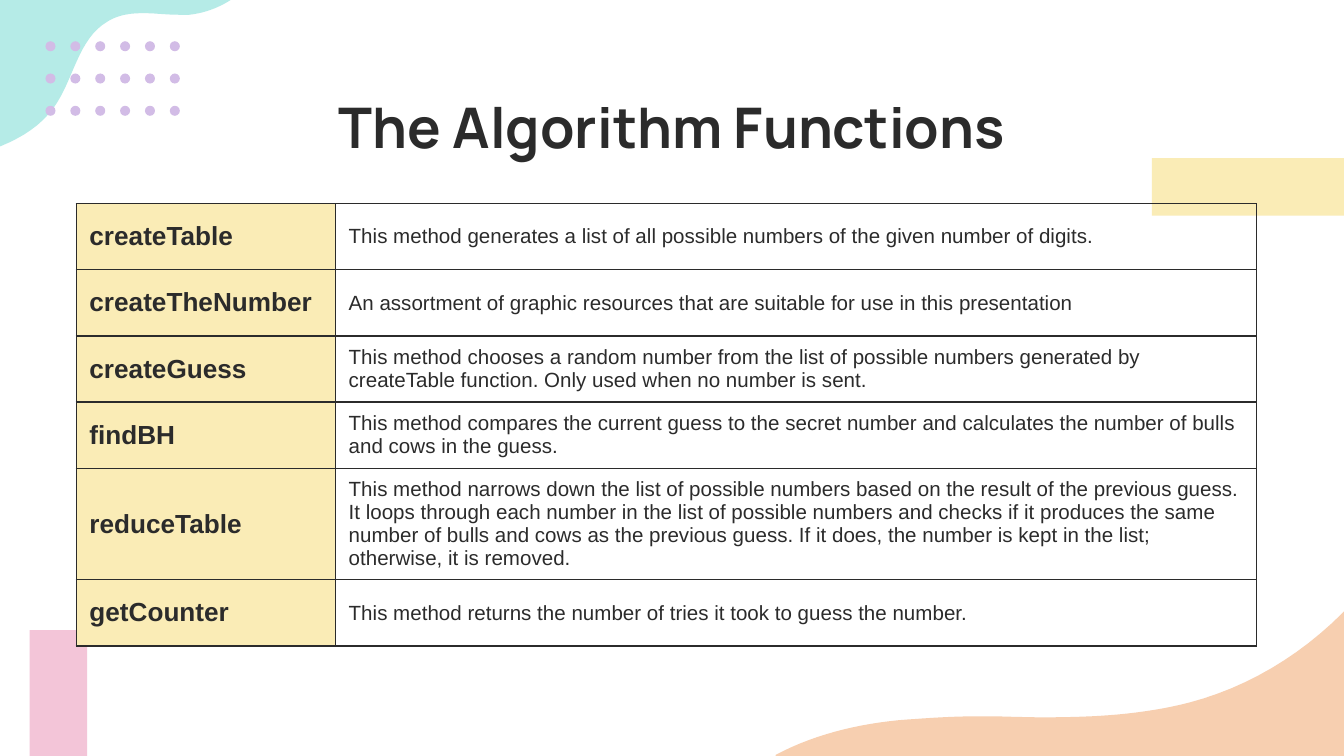
from dataclasses import dataclass

import pptx
import pptx.dml.color
import pptx.enum.shapes
import pptx.enum.text
import pptx.oxml
import pptx.oxml.ns
import pptx.util

Cm = pptx.util.Cm
Pt = pptx.util.Pt
RGBColor = pptx.dml.color.RGBColor
Anchor = pptx.enum.text.MSO_ANCHOR
Alignment = pptx.enum.text.PP_ALIGN
ShapeType = pptx.enum.shapes.MSO_SHAPE

INK = RGBColor(0x2B, 0x2B, 0x2B)
TEAL = RGBColor(0xB5, 0xEB, 0xE7)
PEACH = RGBColor(0xF7, 0xCF, 0xB0)
PINK = RGBColor(0xF3, 0xC5, 0xD8)
YELLOW = RGBColor(0xFA, 0xEC, 0xB6)
LILAC = RGBColor(0xD2, 0xBC, 0xE6)

Point = tuple[float, float]
CURVE_STEPS = 16


@dataclass
class Blob:
    """Straight corners, then Bezier curves (two controls and an end), in cm."""
    color: RGBColor
    corners: list[Point]
    curves: list[tuple[Point, Point, Point]]


@dataclass
class Bar:
    color: RGBColor
    left: float
    top: float
    width: float
    height: float


@dataclass
class Method:
    name: str
    description: str
    height: float = 1.25


BLOBS = [
    Blob(TEAL, [(-3.58, 4.39), (-3.58, -1.96), (4.75, -1.96), (4.75, -0.33)], [
        ((4.45, 0), (4.04, 0.23), (3.58, 0.28)),
        ((3.51, 0.28), (3.43, 0.28), (3.38, 0.28)),
        ((3.15, 0.28), (2.92, 0.25), (2.72, 0.25)),
        ((2.46, 0.25), (2.24, 0.28), (2.03, 0.41)),
        ((1.47, 0.74), (1.4, 1.5), (1.02, 2.03)),
        ((0.53, 2.72), (-0.38, 2.9), (-1.19, 3.15)),
        ((-2.06, 3.43), (-2.87, 3.84), (-3.58, 4.39)),
    ]),
    Blob(PEACH, [(26.09, 10.74), (26.09, 18.9), (14.66, 18.9), (14.66, 14.27)], [
        ((15.47, 13.84), (16.41, 13.64), (17.32, 13.59)),
        ((17.73, 13.56), (18.14, 13.54), (18.57, 13.54)),
        ((18.95, 13.54), (19.33, 13.56), (19.74, 13.56)),
        ((20.68, 13.56), (21.59, 13.51), (22.48, 13.28)),
        ((23.93, 12.9), (25.22, 11.96), (26.09, 10.74)),
    ]),
]

BARS = [
    Bar(PINK, 0.56, 11.91, 1.09, 2.41),
    Bar(YELLOW, 21.77, 2.99, 3.63, 1.09),
]

METHODS = [
    Method("createTable", "This method generates a list of all possible numbers of the "
           "given number of digits."),
    Method("createTheNumber", "An assortment of graphic resources that are suitable for use "
           "in this presentation"),
    Method("createGuess", "This method chooses a random number from the list of possible "
           "numbers generated by createTable function. Only used when no number is sent."),
    Method("findBH", "This method compares the current guess to the secret number and "
           "calculates the number of bulls and cows in the guess."),
    Method("reduceTable", "This method narrows down the list of possible numbers based on the "
           "result of the previous guess. It loops through each number in the list of possible "
           "numbers and checks if it produces the same number of bulls and cows as the previous "
           "guess. If it does, the number is kept in the list; otherwise, it is removed.", 2.11),
    Method("getCounter", "This method returns the number of tries it took to guess the number."),
]


def write_text(text_frame, text: str, *, size: float, font: str = "Arial",
               bold: bool = False, alignment=Alignment.LEFT) -> None:
    paragraph = text_frame.paragraphs[0]
    paragraph.alignment = alignment
    run = paragraph.add_run()
    run.text = text
    run.font.name = font
    run.font.size = Pt(size)
    run.font.bold = bold
    run.font.color.rgb = INK


def paint(shape, color: RGBColor) -> None:
    shape.shadow.inherit = False
    shape.fill.solid()
    shape.fill.fore_color.rgb = color
    shape.line.fill.background()


def bezier(start: Point, first: Point, second: Point, end: Point) -> list[Point]:
    points = []
    for step in range(1, CURVE_STEPS + 1):
        t = step / CURVE_STEPS
        weights = ((1 - t) ** 3, 3 * t * (1 - t) ** 2, 3 * t * t * (1 - t), t ** 3)
        controls = (start, first, second, end)
        points.append(tuple(sum(w * p[axis] for w, p in zip(weights, controls))
                            for axis in (0, 1)))
    return points


def draw_blob(shapes, blob: Blob) -> None:
    outline = list(blob.corners)
    for curve in blob.curves:
        outline += bezier(outline[-1], *curve)
    points = [(Cm(x), Cm(y)) for x, y in outline]
    builder = shapes.build_freeform(*points[0])
    builder.add_line_segments(points[1:], close=True)
    paint(builder.convert_to_shape(), blob.color)


def draw_bar(shapes, bar: Bar) -> None:
    shape = shapes.add_shape(ShapeType.RECTANGLE, Cm(bar.left), Cm(bar.top),
                             Cm(bar.width), Cm(bar.height))
    paint(shape, bar.color)


def draw_dots(shapes, columns: int = 6, rows: int = 3) -> None:
    group = shapes.add_group_shape()
    for row in range(rows):
        for column in range(columns):
            dot = group.shapes.add_shape(ShapeType.OVAL, Cm(0.86 + 0.47 * column),
                                         Cm(0.78 + 0.61 * row), Cm(0.19), Cm(0.19))
            paint(dot, LILAC)


def add_borders(cell) -> None:
    properties = cell._tc.get_or_add_tcPr()
    for index, side in enumerate(("lnL", "lnR", "lnT", "lnB")):
        properties.insert(index, pptx.oxml.parse_xml(
            f'<a:{side} {pptx.oxml.ns.nsdecls("a")} w="{Pt(0.75)}">'
            f'<a:solidFill><a:srgbClr val="{INK}"/></a:solidFill></a:{side}>'))


def draw_table(shapes, methods: list[Method]) -> None:
    widths = (4.9, 17.4)
    height = sum(method.height for method in methods)
    table = shapes.add_table(len(methods), len(widths), Cm(1.44), Cm(3.85),
                             Cm(sum(widths)), Cm(height)).table
    table.first_row = False
    table.horz_banding = False
    for column, width in zip(table.columns, widths):
        column.width = Cm(width)
    for row, method in zip(table.rows, methods):
        row.height = Cm(method.height)
        name_cell, description_cell = row.cells
        name_cell.fill.solid()
        name_cell.fill.fore_color.rgb = YELLOW
        description_cell.fill.background()
        write_text(name_cell.text_frame, method.name, size=14, bold=True)
        write_text(description_cell.text_frame, method.description, size=11)
        for cell in row.cells:
            cell.vertical_anchor = Anchor.MIDDLE
            cell.margin_left = cell.margin_right = Cm(0.25)
            cell.margin_top = cell.margin_bottom = 0
            add_borders(cell)


def main() -> None:
    presentation = pptx.Presentation()
    presentation.slide_width = Cm(25.4)
    presentation.slide_height = Cm(14.29)
    slide = presentation.slides.add_slide(presentation.slide_layouts[5])

    # Background decoration
    for blob in BLOBS:
        draw_blob(slide.shapes, blob)
    for bar in BARS:
        draw_bar(slide.shapes, bar)

    # Title
    title = slide.shapes.title
    title.left, title.top, title.width, title.height = Cm(2), Cm(1.5), Cm(21.4), Cm(1.6)
    frame = title.text_frame
    frame.auto_size = pptx.enum.text.MSO_AUTO_SIZE.NONE
    frame.vertical_anchor = Anchor.TOP
    frame.margin_left = frame.margin_right = frame.margin_top = frame.margin_bottom = Cm(0.25)
    write_text(frame, "The Algorithm Functions", size=30, font="Manrope", bold=True,
               alignment=Alignment.CENTER)

    # Method table and dot grid
    draw_table(slide.shapes, METHODS)
    draw_dots(slide.shapes)

    presentation.save("out.pptx")


if __name__ == "__main__":
    main()
